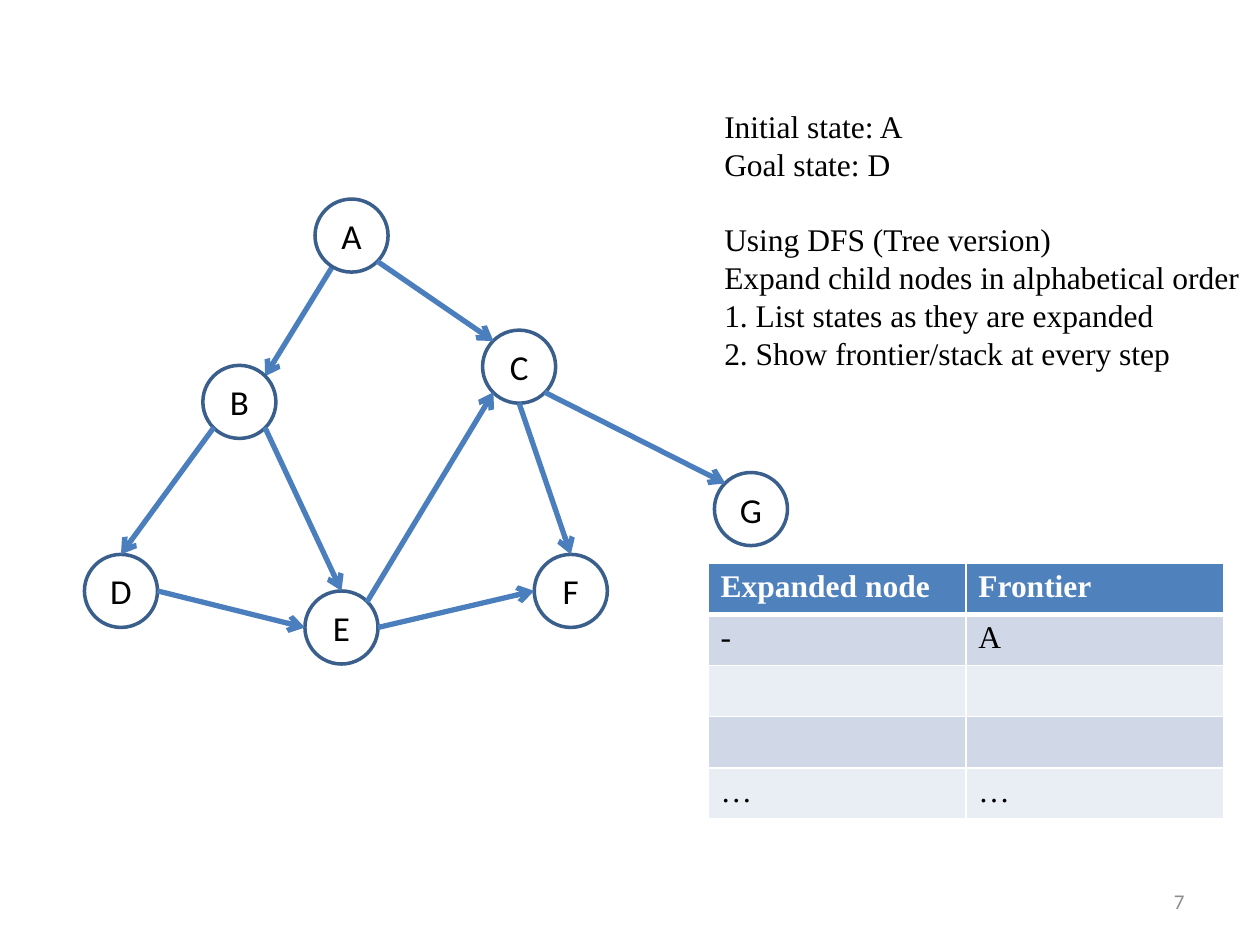
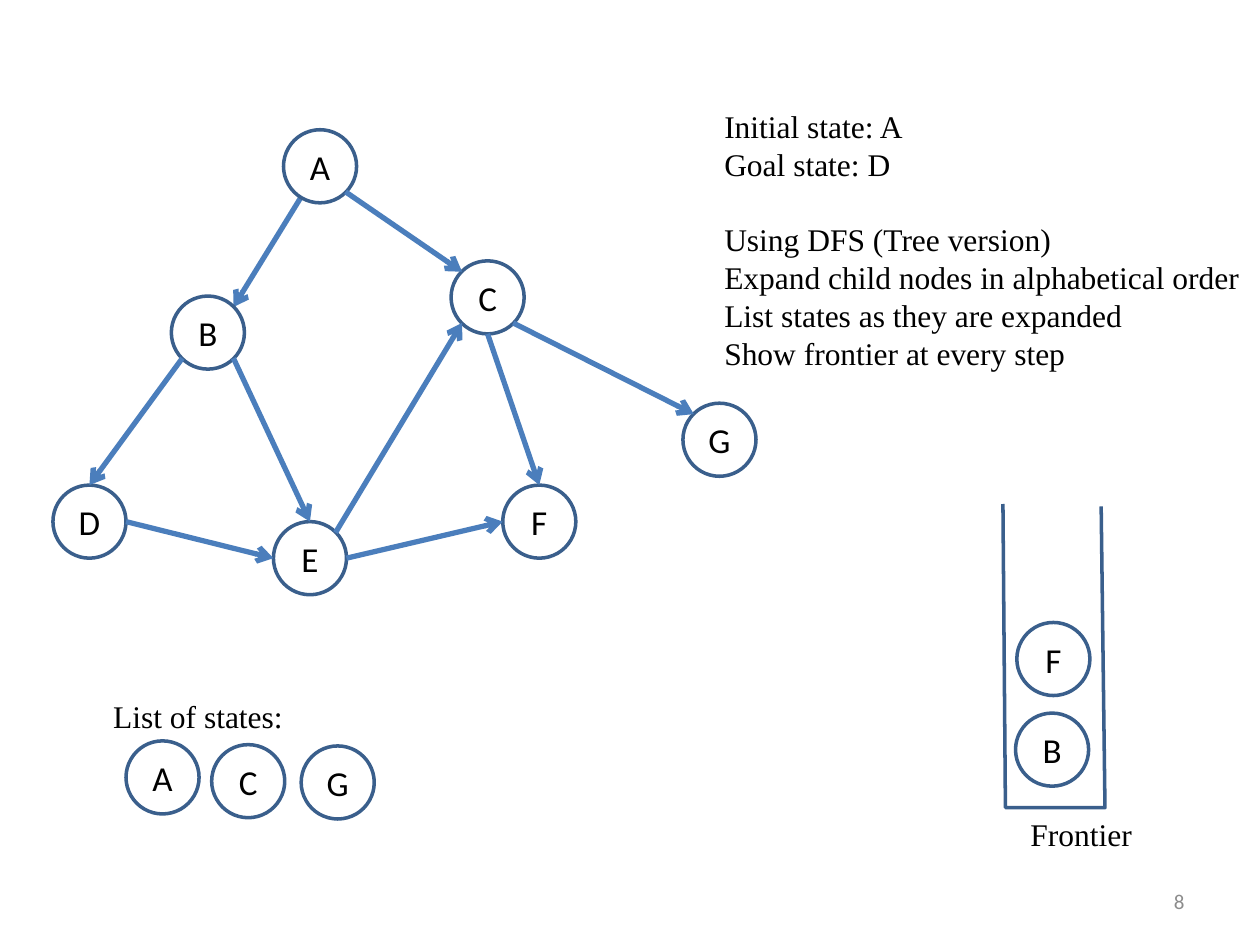
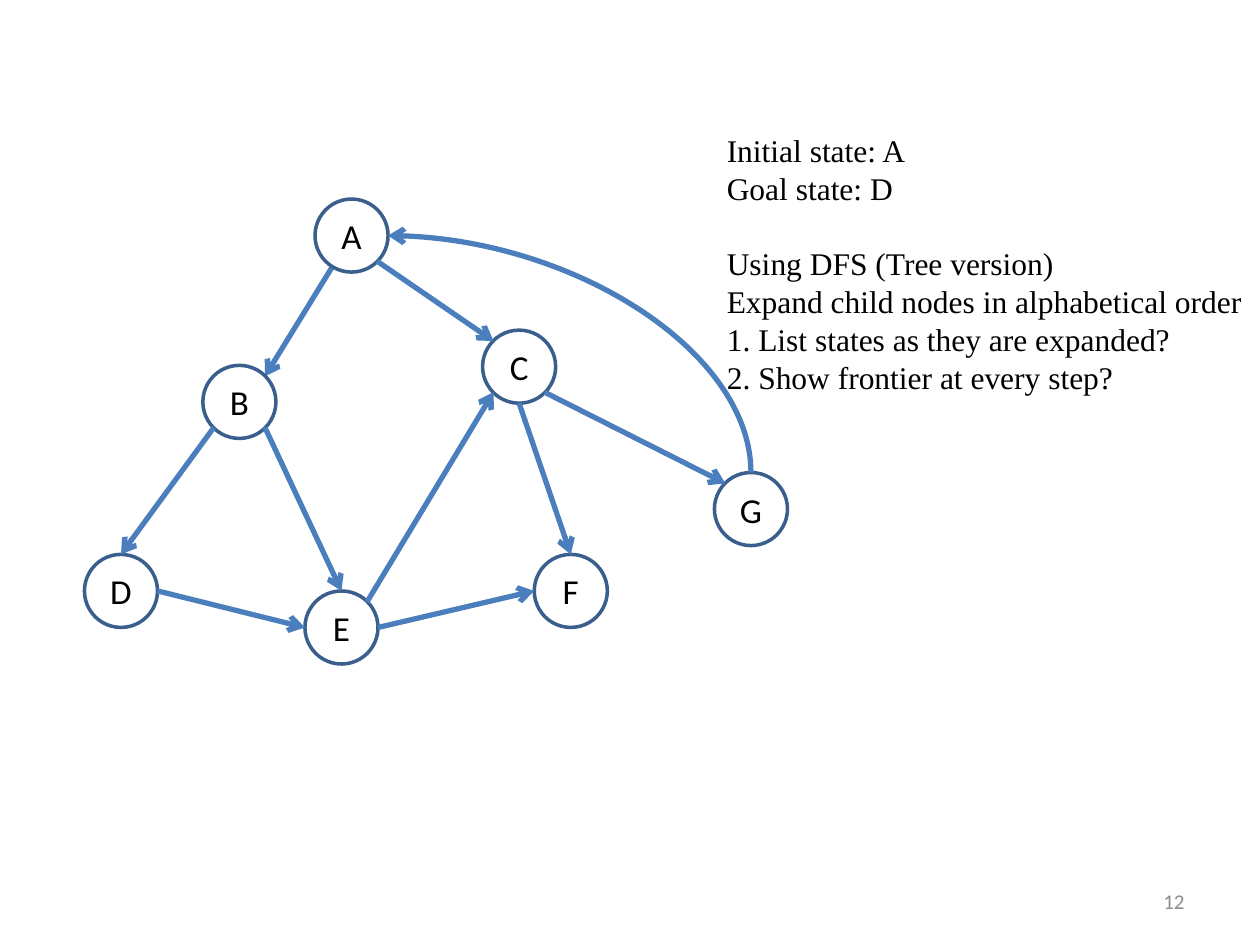
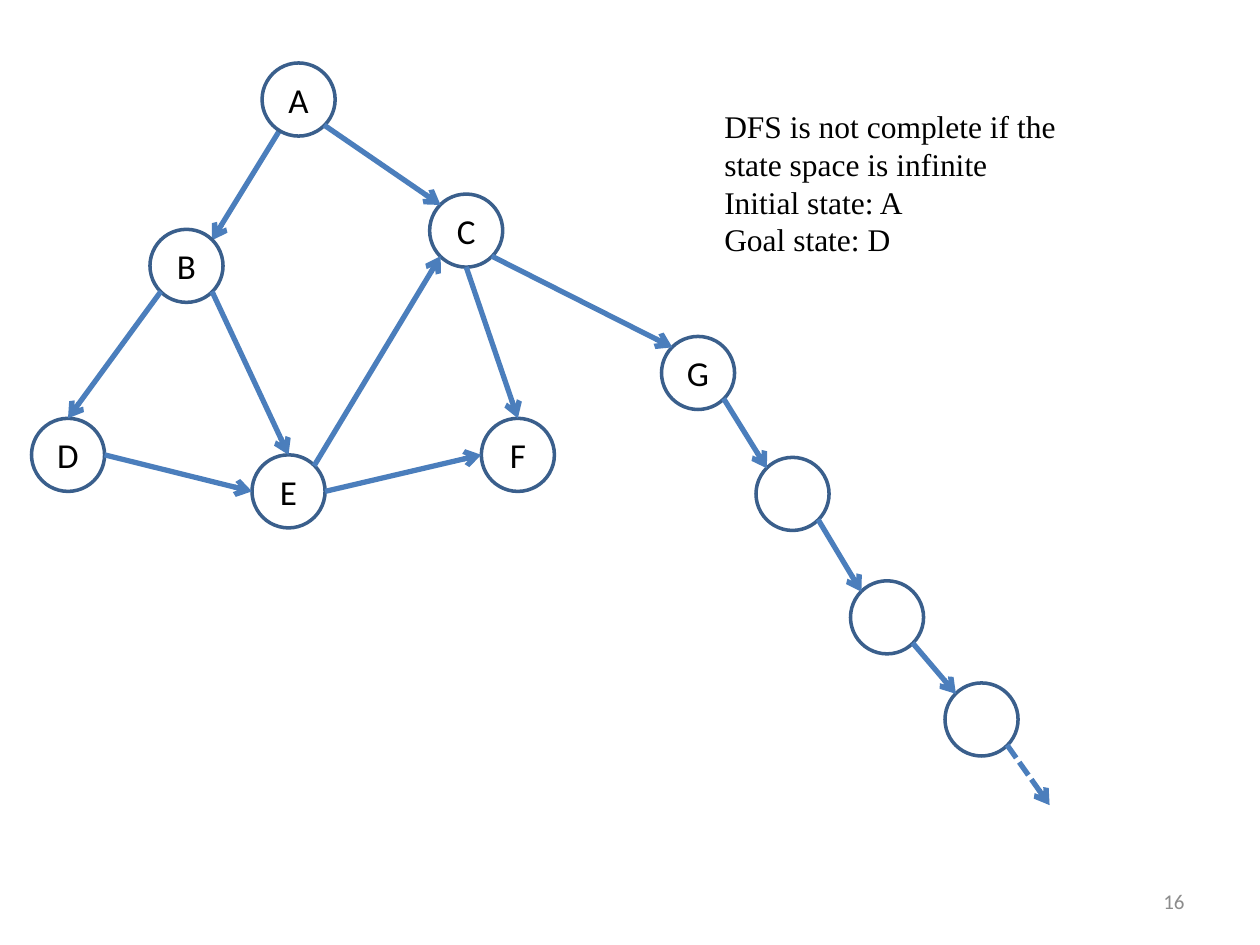
"""Build four slides that walk through depth-first search on a small state graph."""
from typing import NamedTuple

from lxml import etree
from pptx import Presentation
from pptx.dml.color import RGBColor
from pptx.enum.dml import MSO_LINE
from pptx.enum.shapes import MSO_CONNECTOR, MSO_SHAPE
from pptx.enum.text import MSO_ANCHOR, MSO_AUTO_SIZE, PP_ALIGN
from pptx.oxml.ns import qn
from pptx.util import Inches, Pt

STRAIGHT, CURVE = MSO_CONNECTOR.STRAIGHT, MSO_CONNECTOR.CURVE
OVAL = MSO_SHAPE.OVAL
SHORT_DASH = MSO_LINE.SQUARE_DOT
MIDDLE = MSO_ANCHOR.MIDDLE
CENTER, RIGHT = PP_ALIGN.CENTER, PP_ALIGN.RIGHT
GROW, FIXED = MSO_AUTO_SIZE.SHAPE_TO_FIT_TEXT, MSO_AUTO_SIZE.NONE

WHITE = RGBColor(0xFF, 0xFF, 0xFF)
BLACK = RGBColor(0x00, 0x00, 0x00)
GRAY = RGBColor(0x8C, 0x8C, 0x8C)
ARROW_BLUE = RGBColor(0x4B, 0x7E, 0xBC)
OUTLINE_BLUE = RGBColor(0x3A, 0x5F, 0x8C)
HEADER_BLUE = RGBColor(0x4F, 0x81, 0xBD)
BAND_DARK = RGBColor(0xD0, 0xD8, 0xE8)
BAND_LIGHT = RGBColor(0xE9, 0xED, 0xF4)

SANS, SERIF = "Calibri", "Times New Roman"
NODE_SIZE = 0.58
SECTION_GAP = Pt(21.6)


class Point(NamedTuple):
    """A place on the slide in inches."""
    x: float
    y: float


class Edge(NamedTuple):
    """An arrow between two nodes, with the site where it touches each."""
    start: str
    start_site: str
    end: str
    end_site: str


class TextStyle(NamedTuple):
    """Font of a run of text."""
    font: str
    size: int
    color: RGBColor
    bold: bool = False


BODY = TextStyle(SERIF, 18, BLACK)
HEADER = TextStyle(SERIF, 18, WHITE, True)
LABEL = TextStyle(SANS, 20, BLACK)
FOOTER = TextStyle(SANS, 12, GRAY)

SITES = {
    "center": Point(0.5, 0.5),
    "top": Point(0.5, 0), "bottom": Point(0.5, 1),
    "left": Point(0, 0.5), "right": Point(1, 0.5),
    "top left": Point(0.15, 0.15), "top right": Point(0.85, 0.15),
    "bottom left": Point(0.15, 0.85), "bottom right": Point(0.85, 0.85),
}
GRAPH_NODES = {
    "A": Point(1.83, 0), "B": Point(0.94, 1.32), "C": Point(3.16, 1.04),
    "D": Point(0, 2.82), "E": Point(1.75, 3.11), "F": Point(3.57, 2.82),
    "G": Point(5, 2.17),
}
ROOT_EDGE = Edge("A", "center", "B", "top right")
GRAPH_EDGES = [
    Edge("B", "bottom left", "D", "top"),
    Edge("B", "bottom right", "E", "top"),
    Edge("D", "right", "E", "left"),
    Edge("A", "bottom right", "C", "top left"),
    Edge("E", "top right", "C", "bottom left"),
    Edge("C", "bottom right", "G", "top left"),
    Edge("C", "bottom", "F", "top"),
    Edge("E", "right", "F", "left"),
]
TASK = ["Initial state: A", "Goal state: D", "Using DFS (Tree version)",
        "Expand child nodes in alphabetical order"]
TRACE_ROWS = [("Expanded node", "Frontier"), ("-", "A"), ("", ""), ("", ""), ("…", "…")]


def style_paragraph(paragraph, style: TextStyle) -> None:
    """Apply a text style to every run of a paragraph."""
    for run in paragraph.runs:
        run.font.name = style.font
        run.font.size = Pt(style.size)
        run.font.bold = style.bold
        run.font.color.rgb = style.color


def add_text(slide, lines: list[str], at: Point, width: float, height: float,
             style: TextStyle = BODY, wrap: bool = False):
    """Add a text box with one paragraph per line and return its frame."""
    frame = slide.shapes.add_textbox(
        Inches(at.x), Inches(at.y), Inches(width), Inches(height)).text_frame
    frame.word_wrap = wrap
    frame.auto_size = GROW
    for index, line in enumerate(lines):
        paragraph = frame.add_paragraph() if index else frame.paragraphs[0]
        paragraph.text = line
        style_paragraph(paragraph, style)
    return frame


def add_task(slide, steps: list[str], at: Point = Point(5.65, 0.8)) -> None:
    """Add the search task, with a gap after the two states."""
    frame = add_text(slide, TASK + steps, at, 4.33, 2.22)
    frame.paragraphs[2].space_before = SECTION_GAP


def add_page_number(slide, number: int) -> None:
    """Add the page number at the lower right."""
    frame = add_text(slide, [str(number)], Point(7.17, 6.95), 2.33, 0.4, FOOTER, wrap=True)
    frame.auto_size = FIXED
    frame.vertical_anchor = MIDDLE
    frame.paragraphs[0].alignment = RIGHT


def add_node(shapes, label: str, at: Point) -> None:
    """Draw one state as a circle."""
    node = shapes.add_shape(
        OVAL, Inches(at.x), Inches(at.y), Inches(NODE_SIZE), Inches(NODE_SIZE))
    node.shadow.inherit = False
    node.fill.solid()
    node.fill.fore_color.rgb = WHITE
    node.line.color.rgb = OUTLINE_BLUE
    node.line.width = Pt(2)
    if label:
        node.text_frame.text = label
        node.text_frame.vertical_anchor = MIDDLE
        node.text_frame.paragraphs[0].alignment = CENTER
        style_paragraph(node.text_frame.paragraphs[0], LABEL)


def site_of(node: Point, site: str) -> Point:
    """Return the place of a connection site on a node."""
    return Point(node.x + SITES[site].x * NODE_SIZE, node.y + SITES[site].y * NODE_SIZE)


def add_arrow(shapes, start: Point, end: Point, kind=STRAIGHT, dash=None):
    """Draw an arrow from start to end."""
    arrow = shapes.add_connector(
        kind, Inches(start.x), Inches(start.y), Inches(end.x), Inches(end.y))
    arrow.line.color.rgb = ARROW_BLUE
    arrow.line.width = Pt(3)
    if dash is not None:
        arrow.line.dash_style = dash
    properties = arrow._element.spPr
    etree.SubElement(properties.find(qn("a:ln")), qn("a:tailEnd"), type="arrow")
    etree.SubElement(properties, qn("a:effectLst"))
    return arrow


def add_return_arrow(shapes, start: Point, end: Point) -> None:
    """Draw a quarter curve that leaves upwards and arrives leftwards."""
    middle = Point((start.x + end.x) / 2, (start.y + end.y) / 2)
    half_width, half_height = (start.y - end.y) / 2, (start.x - end.x) / 2
    arrow = add_arrow(
        shapes, Point(middle.x - half_width, middle.y + half_height),
        Point(middle.x + half_width, middle.y - half_height), CURVE)
    properties = arrow._element.spPr
    properties.find(qn("a:xfrm")).set("rot", str(270 * 60000))
    properties.find(qn("a:prstGeom")).set("prst", "curvedConnector2")


def add_edge(shapes, nodes: dict[str, Point], edge: Edge) -> None:
    """Draw the arrow of one edge."""
    add_arrow(shapes, site_of(nodes[edge.start], edge.start_site),
              site_of(nodes[edge.end], edge.end_site))


def add_graph(shapes, origin: Point) -> dict[str, Point]:
    """Draw the state graph and return the places of its nodes."""
    nodes = {label: Point(origin.x + offset.x, origin.y + offset.y)
             for label, offset in GRAPH_NODES.items()}
    add_edge(shapes, nodes, ROOT_EDGE)
    for label, at in nodes.items():
        add_node(shapes, label, at)
    for edge in GRAPH_EDGES:
        add_edge(shapes, nodes, edge)
    return nodes


def add_borders(cell, bottom: int) -> None:
    """Give a cell white borders, with the bottom width in points."""
    properties = cell._tc.get_or_add_tcPr()
    for index, (side, points) in enumerate(zip("LRTB", (1, 1, 1, bottom))):
        border = etree.Element(qn(f"a:ln{side}"), w=str(Pt(points)))
        fill = etree.SubElement(border, qn("a:solidFill"))
        etree.SubElement(fill, qn("a:srgbClr"), val=str(WHITE))
        properties.insert(index, border)


def add_trace_table(slide) -> None:
    """Add the table of expanded nodes and frontier."""
    trace = slide.shapes.add_table(
        len(TRACE_ROWS), 2, Inches(5.62), Inches(4.47), Inches(4.09), Inches(2.03)).table
    for row, texts in enumerate(TRACE_ROWS):
        band = BAND_DARK if row % 2 else BAND_LIGHT
        for column, text in enumerate(texts):
            cell = trace.cell(row, column)
            cell.fill.solid()
            cell.fill.fore_color.rgb = band if row else HEADER_BLUE
            add_borders(cell, 1 if row else 3)
            if text:
                cell.text_frame.text = text
                style_paragraph(cell.text_frame.paragraphs[0], BODY if row else HEADER)


def add_stack(slide) -> None:
    """Draw the open container of the frontier."""
    corners = [Point(7.96, 4), Point(7.98, 6.41), Point(8.77, 6.41), Point(8.74, 4.02)]
    outline = [(Inches(corner.x), Inches(corner.y)) for corner in corners]
    builder = slide.shapes.build_freeform(*outline[0])
    builder.add_line_segments(outline[1:], close=False)
    stack = builder.convert_to_shape()
    stack.shadow.inherit = False
    stack.fill.background()
    stack.line.color.rgb = OUTLINE_BLUE
    stack.line.width = Pt(2)


def build_exercise(slide) -> None:
    """Build the exercise with an empty trace."""
    add_graph(slide.shapes.add_group_shape().shapes, Point(0.67, 1.58))
    add_task(slide, ["1. List states as they are expanded",
                     "2. Show frontier/stack at every step"])
    add_trace_table(slide)


def build_stack_step(slide) -> None:
    """Build the step with expanded states and frontier stack."""
    add_graph(slide.shapes, Point(0.42, 1.03))
    add_task(slide, ["List states as they are expanded", "Show frontier at every step"])
    add_text(slide, ["List of states:"], Point(0.8, 5.48), 4.2, 0.4, wrap=True)
    add_text(slide, ["Frontier"], Point(8.08, 6.42), 1.02, 0.4)
    add_stack(slide)
    expanded = [("A", Point(1, 5.88)), ("C", Point(1.68, 5.91)), ("G", Point(2.39, 5.92))]
    frontier = [("B", Point(8.06, 5.66)), ("F", Point(8.07, 4.94))]
    for label, at in expanded + frontier:
        add_node(slide.shapes, label, at)


def build_cycle(slide) -> None:
    """Build the exercise on a graph with a cycle."""
    nodes = add_graph(slide.shapes.add_group_shape().shapes, Point(0.67, 1.58))
    add_return_arrow(slide.shapes, site_of(nodes["G"], "top"), site_of(nodes["A"], "right"))
    add_task(slide, ["1. List states as they are expanded?",
                     "2. Show frontier at every step?"], Point(5.67, 0.99))


def build_infinite_chain(slide) -> None:
    """Build the graph that goes on without end."""
    nodes = add_graph(slide.shapes.add_group_shape().shapes, Point(0.25, 0.5))
    add_text(slide, ["DFS is not complete if the state space is infinite",
                     "Initial state: A\vGoal state: D"], Point(5.65, 0.8), 2.93, 1.31, wrap=True)
    chain = [nodes["G"], Point(6, 3.63), Point(6.75, 4.61), Point(7.5, 5.42)]
    for at in chain[1:]:
        add_node(slide.shapes, "", at)
    for before, after in zip(chain, chain[1:]):
        add_arrow(slide.shapes, site_of(before, "bottom right"), site_of(after, "top left"))
    add_arrow(slide.shapes, site_of(chain[-1], "bottom right"), Point(8.33, 6.39),
              dash=SHORT_DASH)


def main() -> None:
    """Build and save the presentation."""
    presentation = Presentation()
    presentation.slide_width, presentation.slide_height = Inches(10), Inches(7.5)
    blank = presentation.slide_layouts[6]
    pages = {7: build_exercise, 8: build_stack_step, 12: build_cycle, 16: build_infinite_chain}
    for number, build in pages.items():
        slide = presentation.slides.add_slide(blank)
        add_page_number(slide, number)
        build(slide)
    presentation.save("out.pptx")


if __name__ == "__main__":
    main()
